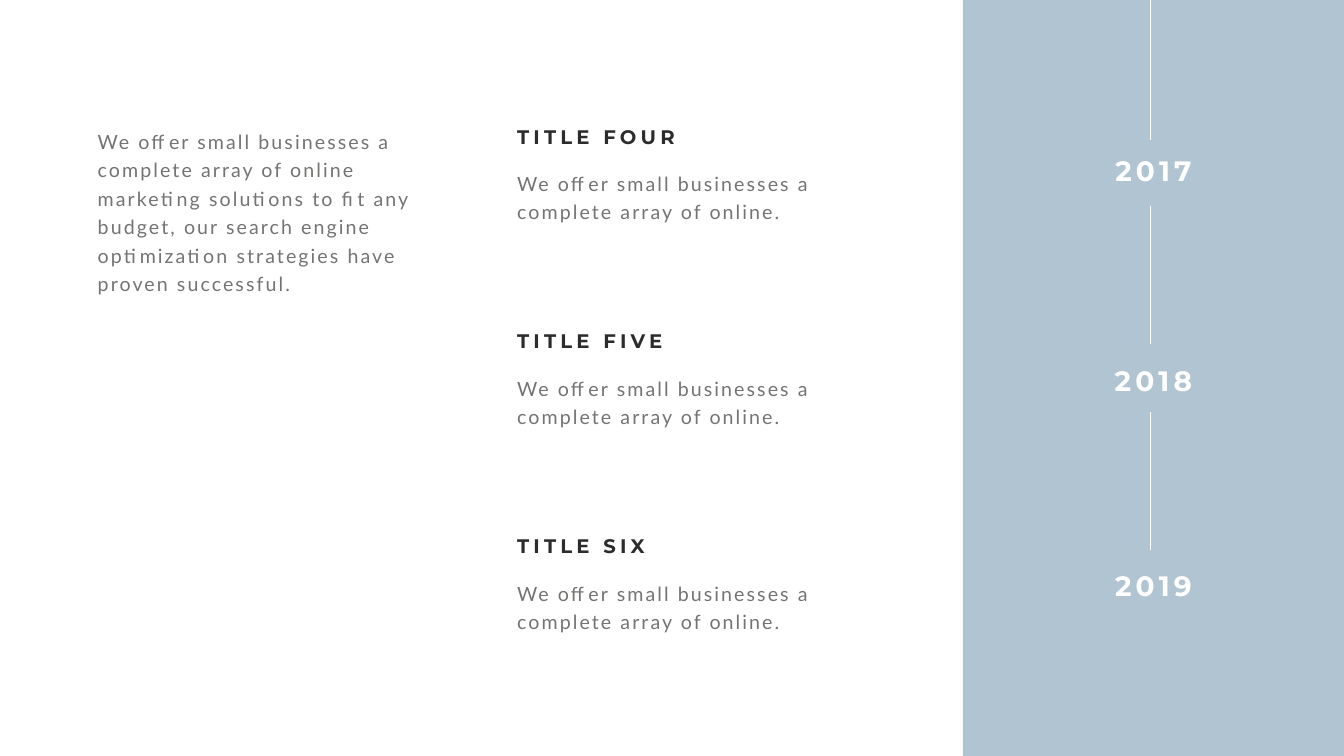
import dataclasses

import pptx
import pptx.dml.color
import pptx.enum.shapes
import pptx.enum.text
import pptx.oxml.ns
import pptx.presentation
import pptx.slide
import pptx.util
from lxml import etree

Inches = pptx.util.Inches
Pt = pptx.util.Pt
RGBColor = pptx.dml.color.RGBColor
Align = pptx.enum.text.PP_ALIGN

WHITE = RGBColor(0xFF, 0xFF, 0xFF)
BLUE_GREY = RGBColor(0xB1, 0xC4, 0xD2)
GREY = RGBColor(0x73, 0x75, 0x72)
CHARCOAL = RGBColor(0x2B, 0x2C, 0x2B)


@dataclasses.dataclass(frozen=True)
class TextStyle:
    font: str
    size: float
    color: RGBColor
    tracking: float  # points between letters
    bold: bool = False
    align: Align = Align.LEFT
    line_spacing: float | None = None  # points


@dataclasses.dataclass(frozen=True)
class Milestone:
    title: str
    title_top: float
    year: str
    year_top: float


BODY = TextStyle("Lato", 28, GREY, 3, line_spacing=40.8)
HEADING = TextStyle("Montserrat", 28, CHARCOAL, 6, bold=True)
YEAR = TextStyle("Montserrat", 40, WHITE, 6, bold=True, align=Align.CENTER)

INTRO = (
    "We offer small businesses a complete array of online marketing solutions "
    "to fit any budget, our search engine optimization strategies have proven successful."
)
SUMMARY = "We offer small businesses a complete array of online."
MILESTONES = [
    Milestone("TITLE FOUR", 2.42, "2017", 3),
    Milestone("TITLE FIVE", 6.48, "2018", 7.17),
    Milestone("TITLE SIX", 10.55, "2019", 11.23),
]
SUMMARY_OFFSET = 0.84
TIMELINE_X = 22.81
TIMELINE_SPANS = [(-0.05, 2.78), (4.08, 6.82), (8.18, 10.92)]


def add_text(page: pptx.slide.Slide, text: str, style: TextStyle,
             left: float, top: float, width: float, height: float) -> None:
    box = page.shapes.add_textbox(Inches(left), Inches(top), Inches(width), Inches(height))
    frame = box.text_frame
    frame.word_wrap = True
    frame.auto_size = pptx.enum.text.MSO_AUTO_SIZE.SHAPE_TO_FIT_TEXT
    frame.text = text
    paragraph = frame.paragraphs[0]
    paragraph.alignment = style.align
    if style.line_spacing is not None:
        paragraph.line_spacing = Pt(style.line_spacing)
    span = paragraph.runs[0]
    span.font.name = style.font
    span.font.size = Pt(style.size)
    span.font.bold = style.bold
    span.font.color.rgb = style.color
    span.font._element.set("spc", str(round(style.tracking * 100)))


def add_panel(page: pptx.slide.Slide, left: float, width: float, height: float) -> None:
    panel = page.shapes.add_shape(
        pptx.enum.shapes.MSO_SHAPE.RECTANGLE, Inches(left), 0, Inches(width), Inches(height))
    panel.shadow.inherit = False
    panel.fill.solid()
    panel.fill.fore_color.rgb = BLUE_GREY
    panel.line.fill.background()


def add_timeline_segment(page: pptx.slide.Slide, start: float, end: float) -> None:
    segment = page.shapes.add_connector(
        pptx.enum.shapes.MSO_CONNECTOR.STRAIGHT,
        Inches(TIMELINE_X), Inches(start), Inches(TIMELINE_X), Inches(end))
    segment.line.color.rgb = WHITE
    segment.line.width = Pt(0.5)
    etree.SubElement(segment._element.spPr, pptx.oxml.ns.qn("a:effectLst"))


def main() -> None:
    deck: pptx.presentation.Presentation = pptx.Presentation()
    deck.slide_width = Inches(26.66)
    deck.slide_height = Inches(15)
    page = deck.slides.add_slide(deck.slide_layouts.get_by_name("Blank"))

    # Side panel
    add_panel(page, 19.1, 7.56, 15)

    # Titles, summaries and years
    for item in MILESTONES:
        add_text(page, SUMMARY, BODY, 10.16, item.title_top + SUMMARY_OFFSET, 6.19, 1.19)
        add_text(page, item.title, HEADING, 10.16, item.title_top, 5.72, 0.57)
        add_text(page, item.year, YEAR, 21.25, item.year_top, 3.26, 0.77)

    # Timeline between the years
    for start, end in TIMELINE_SPANS:
        add_timeline_segment(page, start, end)

    # Introduction
    add_text(page, INTRO, BODY, 1.84, 2.42, 6.52, 3.49)

    deck.save("out.pptx")


if __name__ == "__main__":
    main()
